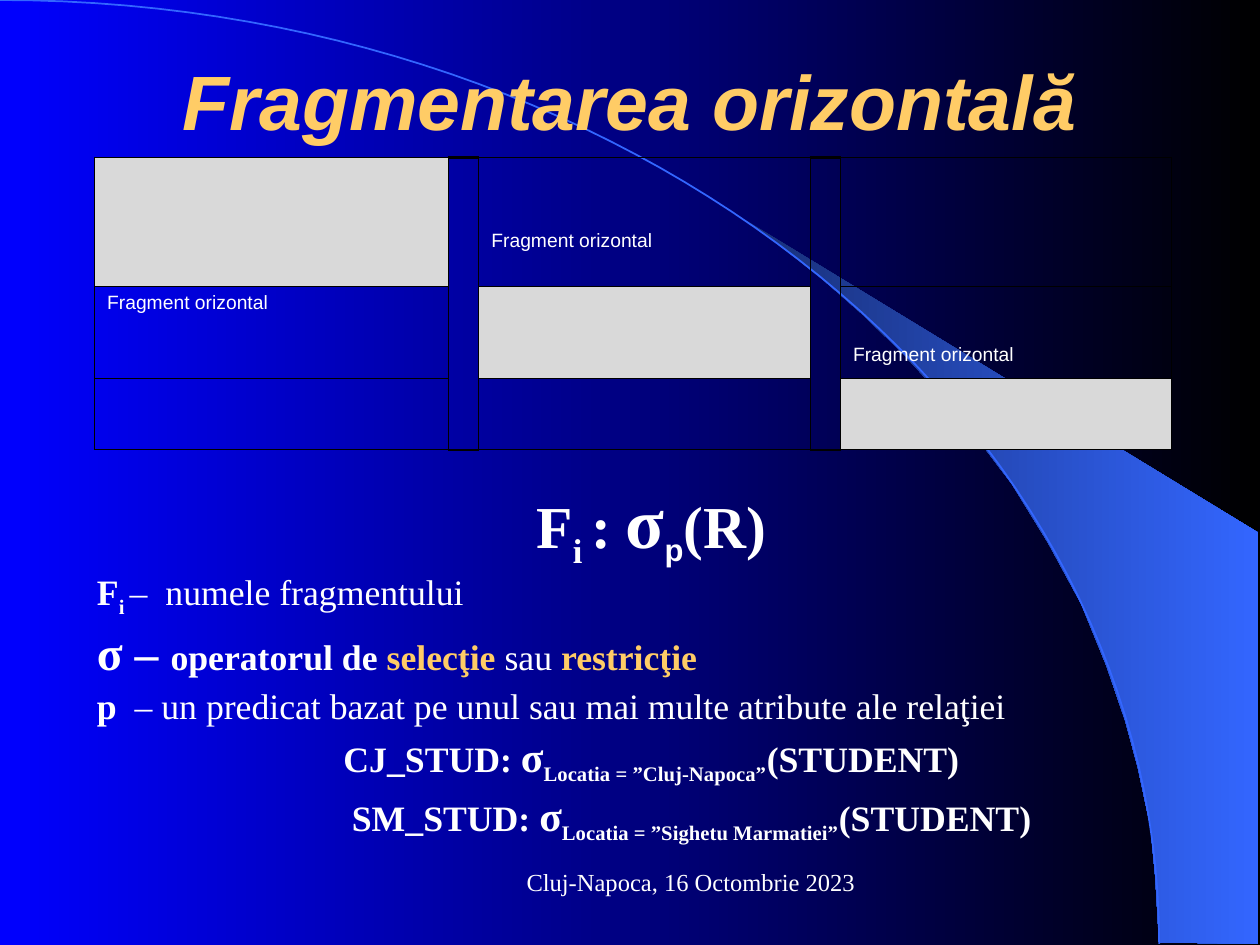
from lxml.etree import SubElement
from pptx import Presentation
from pptx.dml.color import RGBColor
from pptx.enum.text import MSO_ANCHOR as Anchor, MSO_AUTO_SIZE as AutoSize, PP_ALIGN as Align
from pptx.oxml.ns import qn
from pptx.util import Pt

WHITE, GOLD, GREY, BLACK, BLUE = "FFFFFF", "FFCC66", "D9D9D9", "000000", "3366FF"
SERIF, SANS = "Times New Roman", "Arial"


def color(hex_text):
    return RGBColor.from_string(hex_text)


def set_gradient(fill, start, end):
    fill.gradient()
    fill.gradient_angle = 0
    for stop, tone, position in zip(fill.gradient_stops, (start, end), (0, 1)):
        stop.color.rgb = color(tone)
        stop.position = position


def place(shape, left, top, width, height):
    shape.left, shape.top, shape.width, shape.height = map(Pt, (left, top, width, height))


def bring_to_front(shape):
    shape.element.getparent().append(shape.element)


def add_run(para, text, size, font=SERIF, tone=WHITE, bold=False, italic=False, sub=False):
    span = para.add_run()
    span.text = text
    span.font.size, span.font.name = Pt(size), font
    span.font.bold, span.font.italic = bold, italic
    span.font.color.rgb = color(tone)
    if sub:
        span._r.get_or_add_rPr().set("baseline", "-25000")


def add_outline(slide, points, closed):
    start, *rest = [(Pt(x), Pt(y)) for x, y in points]
    builder = slide.shapes.build_freeform(*start, scale=1.0)
    builder.add_line_segments(rest, close=closed)
    shape = builder.convert_to_shape()
    shape.shadow.inherit = False
    return shape


def add_backdrop(slide):
    set_gradient(slide.background.fill, "0000FF", "000000")
    # Bright crescent at the right
    edge = [(662.4, 538.6), (719.3, 539.3), (719.3, 304.6), (424.1, 124.6), (449.3, 143.3),
            (470.2, 159.8), (493.2, 180), (515.5, 201.6), (548.6, 237.6), (578.2, 276.5),
            (599, 310.3), (617.8, 344.9), (632.2, 380.2), (643, 411.8), (650.2, 438.5),
            (657.4, 472.3), (660.2, 501.1)]
    crescent = add_outline(slide, edge, True)
    set_gradient(crescent.fill, "182F76", BLUE)
    crescent.line.fill.background()
    # Quarter arc, sampled from a cubic curve
    controls = [(0, 0), (365.8, 0), (662.4, 241.2), (662.4, 539.3)]
    steps = 60
    points = []
    for step in range(steps + 1):
        t = step / steps
        weights = ((1 - t) ** 3, 3 * t * (1 - t) ** 2, 3 * t * t * (1 - t), t ** 3)
        points.append([sum(w * c[axis] for w, c in zip(weights, controls)) for axis in (0, 1)])
    arc = add_outline(slide, points, False)
    arc.fill.background()
    arc.line.color.rgb = color(BLUE)
    arc.line.width = Pt(1)


def add_footer(slide, text):
    box = slide.shapes.add_textbox(0, 0, 0, 0)
    place(box, 293.8, 486, 372.2, 36)
    frame = box.text_frame
    frame.word_wrap = True
    frame.vertical_anchor = Anchor.MIDDLE
    add_run(frame.paragraphs[0], text, 14)


def fill_title(slide, text):
    title = slide.shapes.title
    bring_to_front(title)
    place(title, 54, 18, 612, 77.8)
    title.text_frame.vertical_anchor = Anchor.MIDDLE
    title.text_frame.auto_size = AutoSize.NONE
    para = title.text_frame.paragraphs[0]
    para.alignment = Align.CENTER
    add_run(para, text, 44, SANS, GOLD, bold=True, italic=True)


def set_borders(cell, widths):
    """Draw left, right, top and bottom edges; a width of 0 hides the edge."""
    properties = cell._tc.get_or_add_tcPr()
    for index, (side, width) in enumerate(zip("LRTB", widths)):
        line = properties.makeelement(qn(f"a:ln{side}"), {"w": str(Pt(width))})
        properties.insert(index, line)
        if width:
            solid = SubElement(line, qn("a:solidFill"))
            SubElement(solid, qn("a:srgbClr"), val=BLACK)
        else:
            SubElement(line, qn("a:noFill"))


def add_fragment_table(slide):
    widths, heights = [202.3, 17.3, 189.4, 17.3, 189.4], [73.4, 52.6, 41]
    thin, thick = 0.45, 1.47
    # Top margin of each labelled cell
    labels = {(0, 2): 41.5, (1, 0): 3.6, (1, 4): 33}
    frame = slide.shapes.add_table(len(heights), len(widths), Pt(54), Pt(90),
                                   Pt(sum(widths)), Pt(sum(heights)))
    table = frame.table
    table.first_row = table.horz_banding = False
    for column, width in zip(table.columns, widths):
        column.width = Pt(width)
    for row, height in zip(table.rows, heights):
        row.height = Pt(height)
    for r in range(len(heights)):
        for c in range(len(widths)):
            cell = table.cell(r, c)
            if c == 2 * r:  # the shaded fragments run along the diagonal
                cell.fill.solid()
                cell.fill.fore_color.rgb = color(GREY)
            else:
                cell.fill.background()
            if c % 2:  # spacer column
                last = r == len(heights) - 1
                set_borders(cell, (thin, thin, 0 if r else thick, thick if last else 0))
            else:
                set_borders(cell, (thin,) * 4)
            if (r, c) in labels:
                cell.margin_top = Pt(labels[r, c])
                add_run(cell.text_frame.paragraphs[0], "Fragment orizontal", 11, SANS)


def example_runs(name, place_name):
    return [(f"{name}: ", 20.4, dict(bold=True)), ("σ", 23.8, dict(bold=True)),
            (f"Locatia = ”{place_name}”", 20.4, dict(bold=True, sub=True)),
            ("(STUDENT)", 20.4, dict(bold=True))]


def fill_body(slide):
    bold, small = dict(bold=True), dict(bold=True, sub=True)
    gold = dict(bold=True, tone=GOLD)
    # Alignment, left indent, space before, runs
    lines = [
        (Align.CENTER, 0, 0, [("F", 34, bold), ("i ", 34, small), (": ", 34, bold),
                              ("σ", 40.8, bold), ("p", 30.6, dict(small, font=SANS)),
                              ("(R)", 34, bold)]),
        (Align.JUSTIFY, 0, 0, [("F", 20.4, bold), ("i ", 20.4, small),
                               ("–  numele fragmentului", 20.4, {})]),
        (Align.JUSTIFY, 0, 2.3, [("σ – ", 27.2, bold), ("operatorul de ", 20.4, bold),
                                 ("selecţie", 20.4, gold), (" sau ", 20.4, {}),
                                 ("restricţie", 20.4, gold)]),
        (Align.JUSTIFY, 0, 2.3, [("p  ", 20.4, bold),
                                 ("– un predicat bazat pe unul sau mai multe atribute ale relaţiei",
                                  20.4, {})]),
        (Align.CENTER, 0, 2.3, example_runs("CJ_STUD", "Cluj-Napoca")),
        (Align.CENTER, 46, 2.3, example_runs("SM_STUD", "Sighetu Marmatiei")),
    ]
    body = slide.placeholders[1]
    bring_to_front(body)
    place(body, 48.2, 269, 648, 217)
    frame = body.text_frame
    frame.auto_size = AutoSize.NONE
    frame.vertical_anchor = Anchor.TOP
    for index, (align, indent, space, runs) in enumerate(lines):
        para = frame.add_paragraph() if index else frame.paragraphs[0]
        properties = para._p.get_or_add_pPr()
        properties.set("marL", str(Pt(indent)))
        properties.set("indent", "0")
        SubElement(properties, qn("a:buNone"))
        para.alignment = align
        para.space_before = Pt(space)
        for text, size, style in runs:
            add_run(para, text, size, **style)


def main():
    deck = Presentation()
    deck.slide_width, deck.slide_height = Pt(720), Pt(540)
    slide = deck.slides.add_slide(deck.slide_layouts[1])
    add_backdrop(slide)
    add_footer(slide, "Cluj-Napoca, 16 Octombrie 2023")
    fill_title(slide, "Fragmentarea orizontală")
    add_fragment_table(slide)
    fill_body(slide)
    deck.save("out.pptx")


if __name__ == "__main__":
    main()
